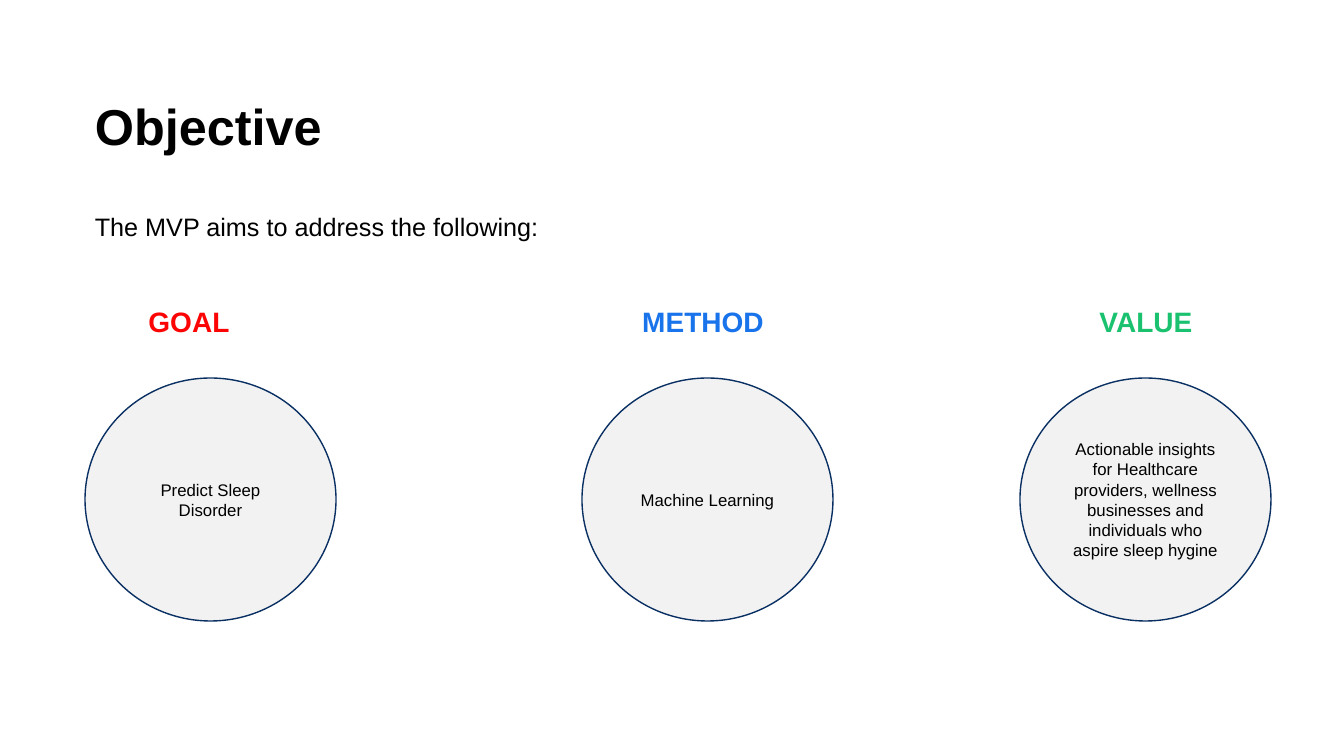
"""Build the Objective slide: goal, method and value, each above a circle."""
from pptx import Presentation
from pptx import util as u
from pptx.dml.color import RGBColor
from pptx.enum import shapes, text

BLACK = RGBColor(0x00, 0x00, 0x00)
RED = RGBColor(0xFD, 0x04, 0x04)
BLUE = RGBColor(0x19, 0x73, 0xEB)
GREEN = RGBColor(0x1A, 0xC1, 0x6E)
NAVY = RGBColor(0x0A, 0x30, 0x63)
PALE_GREY = RGBColor(0xF2, 0xF2, 0xF2)
FONT = "Arial"


def px(length):
    """Turn px into EMU, at 100.8 px to the inch."""
    return u.Emu(round(length * 914400 / 100.8))


def write(box, wording, size, color=BLACK, bold=False, align=text.PP_ALIGN.LEFT):
    """Fill a box with one formatted paragraph, centred vertically."""
    frame = box.text_frame
    frame.word_wrap = True
    frame.vertical_anchor = text.MSO_ANCHOR.MIDDLE
    para = frame.paragraphs[0]
    para.alignment = align
    span = para.add_run()
    span.text = wording
    span.font.name = FONT
    span.font.size = u.Pt(size)
    span.font.bold = bold
    span.font.color.rgb = color


deck = Presentation()
deck.slide_width, deck.slide_height = px(1344), px(756)
page = deck.slides.add_slide(deck.slide_layouts[6])

title = page.shapes.add_textbox(px(85), px(87), px(1200), px(76))
write(title, "Objective", size=36, bold=True)
intro = page.shapes.add_textbox(px(85), px(206), px(1158), px(40))
write(intro, "The MVP aims to address the following:", size=18)

CIRCLE_WIDTH, CIRCLE_HEIGHT, CIRCLE_TOP = 251, 243, 378
HEADING_WIDTH, HEADING_HEIGHT, HEADING_TOP = 200, 60, 291
columns = [
    ("GOAL", RED, 189, 85, "Predict Sleep Disorder"),
    ("METHOD", BLUE, 703, 582, "Machine Learning"),
    ("VALUE", GREEN, 1146, 1020,
     "Actionable insights for Healthcare providers, wellness businesses "
     "and individuals who aspire sleep hygine"),
]
for heading, color, heading_center, circle_left, detail in columns:
    label = page.shapes.add_textbox(
        px(heading_center - HEADING_WIDTH / 2), px(HEADING_TOP),
        px(HEADING_WIDTH), px(HEADING_HEIGHT))
    write(label, heading, size=20, color=color, bold=True,
          align=text.PP_ALIGN.CENTER)

    circle = page.shapes.add_shape(
        shapes.MSO_SHAPE.OVAL, px(circle_left), px(CIRCLE_TOP),
        px(CIRCLE_WIDTH), px(CIRCLE_HEIGHT))
    circle.shadow.inherit = False
    circle.fill.solid()
    circle.fill.fore_color.rgb = PALE_GREY
    circle.line.color.rgb = NAVY
    circle.line.width = u.Pt(1)
    write(circle, detail, size=12, align=text.PP_ALIGN.CENTER)

deck.save("out.pptx")
